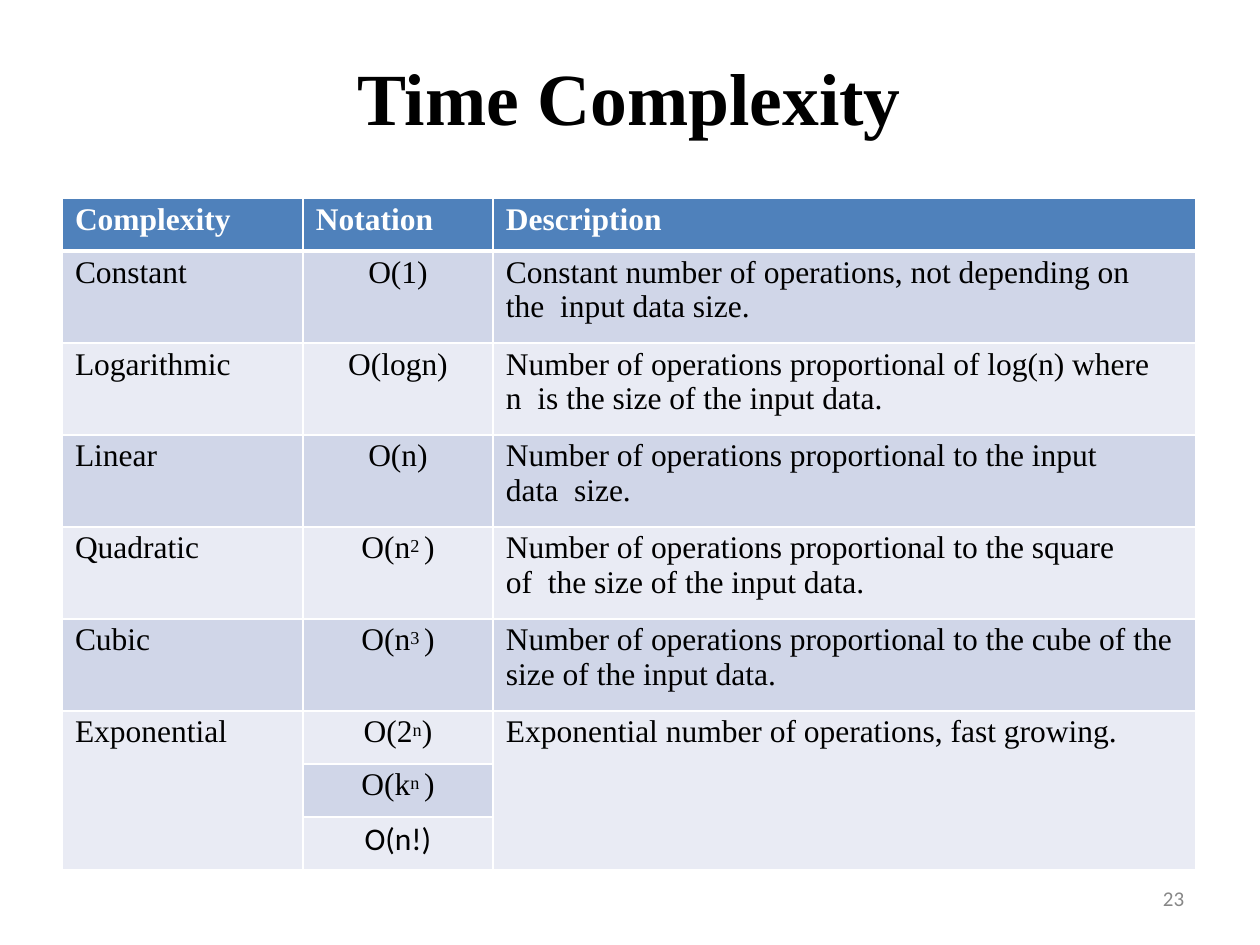
import pptx
import pptx.util
import pptx.dml.color
import pptx.enum.text
import pptx.oxml.ns
import lxml.etree

PX = 914400 // 126
COLORS = {
    "ink": "000000",
    "white": "FFFFFF",
    "header": "4F81BB",
    "band_dark": "D0D6E8",
    "band_light": "E9EBF4",
    "page": "878787",
}
LEFT = pptx.enum.text.PP_ALIGN.LEFT
CENTER = pptx.enum.text.PP_ALIGN.CENTER
SERIF = "Times New Roman"
SANS = "Calibri"


class SlideBuilder:
    def __init__(self, slide):
        self.slide = slide

    def px(self, length):
        return pptx.util.Emu(length * PX)

    def rgb(self, color):
        return pptx.dml.color.RGBColor.from_string(COLORS[color])

    def run(self, paragraph, words, size, color="ink", font=SERIF, bold=False, raised=False):
        run = paragraph.add_run()
        run.text = words
        run.font.size = pptx.util.Pt(size)
        run.font.name = font
        run.font.bold = bold
        run.font.color.rgb = self.rgb(color)
        if raised:
            run.font._element.set("baseline", "21000")

    def text(self, box, words, size, align=LEFT, before=0, line=None, **style):
        label = self.slide.shapes.add_textbox(*map(self.px, box))
        frame = label.text_frame
        frame.word_wrap = True
        frame.margin_left = frame.margin_top = frame.margin_right = frame.margin_bottom = 0
        paragraph = frame.paragraphs[0]
        paragraph.alignment = align
        paragraph.space_before = pptx.util.Pt(before)
        if line:
            paragraph.line_spacing = pptx.util.Pt(line)
        self.run(paragraph, words, size, **style)

    def table(self, left, top, widths, heights):
        frame = self.slide.shapes.add_table(
            len(heights), len(widths), self.px(left), self.px(top),
            self.px(sum(widths)), self.px(sum(heights)))
        for column, width in zip(frame.table.columns, widths):
            column.width = self.px(width)
        for row, height in zip(frame.table.rows, heights):
            row.height = self.px(height)
        return frame.table

    def paint(self, cell, fill, top=1, bottom=1):
        properties = cell._tc.get_or_add_tcPr()
        qn = pptx.oxml.ns.qn
        for side, width in (("lnL", 1), ("lnR", 1), ("lnT", top), ("lnB", bottom)):
            border = lxml.etree.SubElement(properties, qn("a:" + side), w=str(width * 12700))
            solid = lxml.etree.SubElement(border, qn("a:solidFill"))
            lxml.etree.SubElement(solid, qn("a:srgbClr"), val=COLORS["white"])
        cell.fill.solid()
        cell.fill.fore_color.rgb = self.rgb(fill)

    def cell_text(self, cell, lines, align=LEFT, right=0, before=2.5, **style):
        cell.margin_left = self.px(0 if align == CENTER else 13)
        cell.margin_right = self.px(right)
        cell.margin_top = self.px(4)
        cell.margin_bottom = 0
        for index, runs in enumerate(lines):
            paragraph = cell.text_frame.add_paragraph() if index else cell.text_frame.paragraphs[0]
            paragraph.alignment = align
            paragraph.space_before = pptx.util.Pt(0 if index else before)
            for position, words in enumerate(runs):
                self.run(paragraph, words, 18, raised=position == 1, **style)


HEADINGS = ["Complexity", "Notation", "Description"]
CLASSES = [
    ("Constant", ["O(1)"],
     ["Constant number of operations, not depending on the  input data size."], 45),
    ("Logarithmic", ["O(logn)"],
     ["Number of operations proportional of log(n) where n  is the size of the input data."], 38),
    ("Linear", ["O(n)"],
     ["Number of operations proportional to the input data  size."], 75),
    ("Quadratic", ["O(n", "2 ", ")"],
     ["Number of operations proportional to the square of  the size of the input data."], 68),
    ("Cubic", ["O(n", "3 ", ")"],
     ["Number of operations proportional to the cube of the", "size of the input data."], 0),
    ("Exponential", ["O(2", "n", ")"],
     ["Exponential number of operations, fast growing."], 0),
    (None, ["O(k", "n ", ")"], None, 0),
    (None, ["O(n!)"], None, 0),
]


def main():
    deck = pptx.Presentation()
    deck.slide_width = pptx.util.Inches(10)
    deck.slide_height = pptx.util.Inches(7.5)
    builder = SlideBuilder(deck.slides.add_slide(deck.slide_layouts[6]))

    builder.text((1163, 889, 29, 24), "23", 12, line=12.4, font=SANS, color="page")
    builder.text((347, 52, 564, 92), "Time Complexity", 42, align=CENTER, before=1, bold=True)

    complexity = builder.table(62, 198, [241, 190, 703], [53] + [92] * 5 + [53] * 3)
    for column, heading in enumerate(HEADINGS):
        cell = complexity.cell(0, column)
        builder.cell_text(cell, [[heading]], color="white", bold=True)
        builder.paint(cell, "header", bottom=3)

    last = len(CLASSES)
    for row, (name, notation, description, right) in enumerate(CLASSES, 1):
        band = "band_dark" if row % 2 else "band_light"
        for column in range(3):
            builder.paint(complexity.cell(row, column), band, top=3 if row == 1 else 1)
        factorial = row == last
        builder.cell_text(complexity.cell(row, 1), [notation], align=CENTER,
                          before=1.4 if factorial else 2.5, font=SANS if factorial else SERIF)
        if name:
            builder.cell_text(complexity.cell(row, 0), [[name]])
            builder.cell_text(complexity.cell(row, 2), [[line] for line in description], right=right)

    for column in (0, 2):
        complexity.cell(last - 2, column).merge(complexity.cell(last, column))

    deck.save("out.pptx")


if __name__ == "__main__":
    main()
